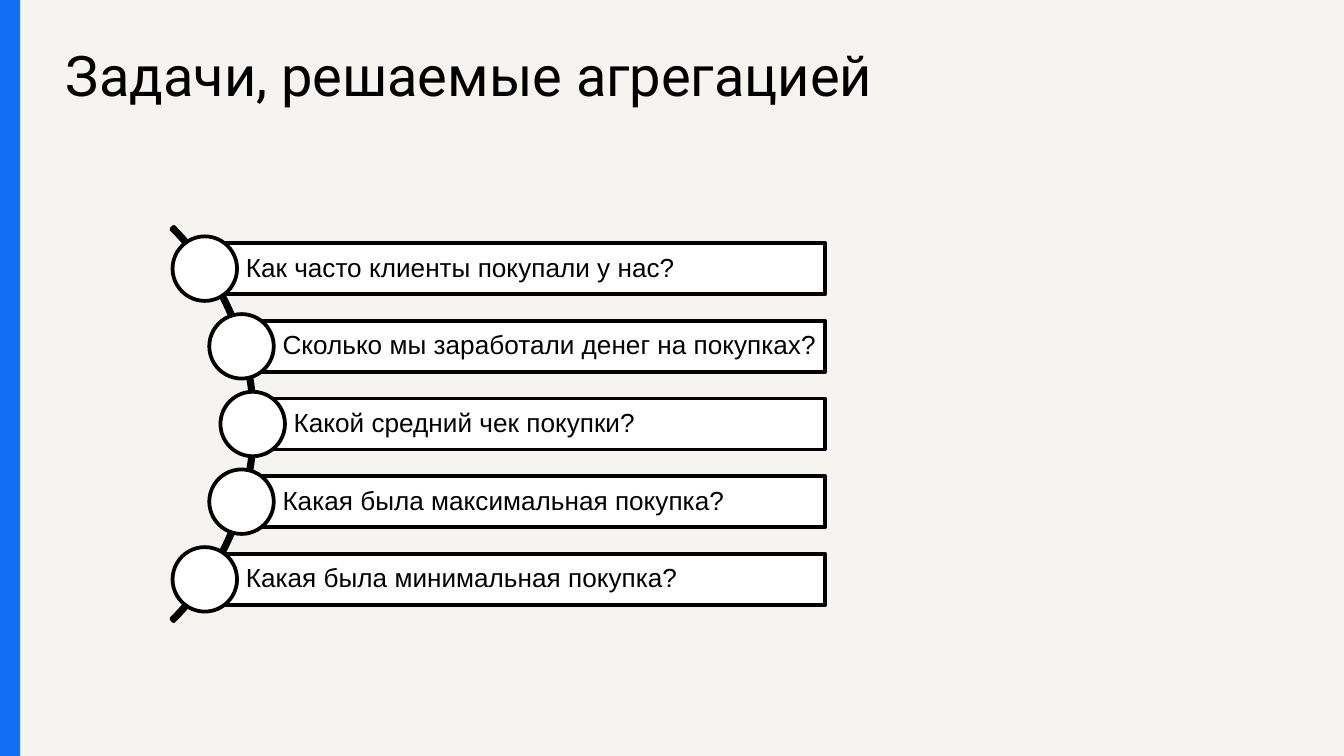
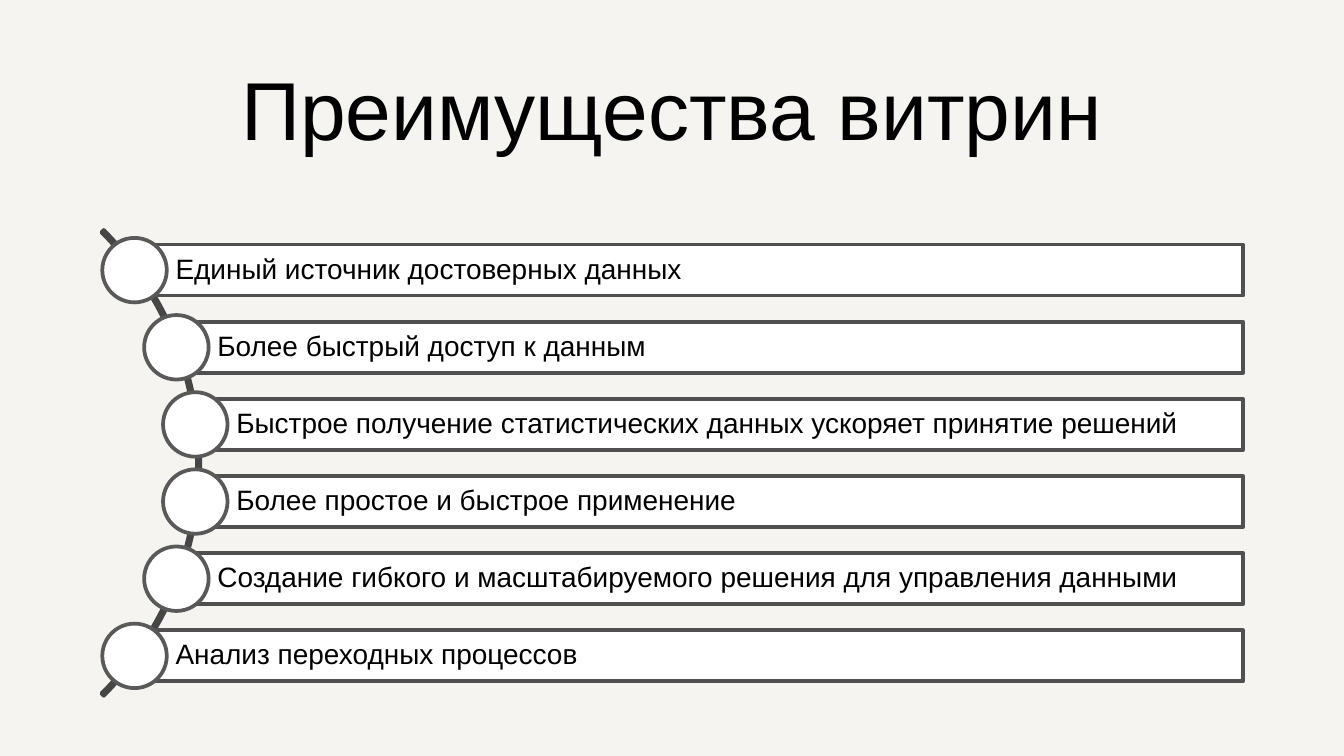
"""Build two slides that list points along an arc, measured on a grid of 0.1 inch cells."""
from pptx import Presentation
from pptx import util as u
from pptx.dml.color import RGBColor
from pptx.enum import shapes, text

COLUMNS, ROWS = 100, 56.25
BAR_HEIGHT, KNOT, LINE_WIDTH = 3.8, 4.8, u.Pt(2)
BLACK, WHITE, PAPER, BLUE = "000000", "FFFFFF", "F5F4F0", "136EF6"


def cells(*lengths):
    return [u.Inches(length / 10) for length in lengths]


def paint(shape, fill, line):
    shape.shadow.inherit = False
    if fill:
        shape.fill.solid()
        shape.fill.fore_color.rgb = RGBColor.from_string(fill)
    else:
        shape.fill.background()
    if line:
        shape.line.color.rgb = RGBColor.from_string(line)
        shape.line.width = LINE_WIDTH
    else:
        shape.line.fill.background()


topics = [
    {
        "title": "Задачи, решаемые агрегацией",
        "title_box": (3.9, 2, 66.2, 10.2),
        "title_font": ("Roboto", 30),
        "title_align": text.PP_ALIGN.LEFT,
        "title_anchor": text.MSO_ANCHOR.TOP,
        "arc": (-1.75, 31.55, 20.75, 0.006),
        "right": 61.4,
        "pitch": 5.78,
        "size": 14,
        "lines": (BLACK, BLACK, BLACK),
        "points": [
            "Как часто клиенты покупали у нас?",
            "Сколько мы заработали денег на покупках?",
            "Какой средний чек покупки?",
            "Какая была максимальная покупка?",
            "Какая была минимальная покупка?",
        ],
    },
    {
        "title": "Преимущества витрин",
        "title_box": (3.4, 3.6, 93.2, 9.1),
        "title_font": ("Arial", 44),
        "title_align": text.PP_ALIGN.CENTER,
        "title_anchor": text.MSO_ANCHOR.BOTTOM,
        "arc": (-9.6, 34.45, 24.5, 0.005),
        "right": 92.5,
        "pitch": 5.74,
        "size": 15,
        "lines": ("464646", "505050", "595959"),
        "points": [
            "Единый источник достоверных данных",
            "Более быстрый доступ к данным",
            "Быстрое получение статистических данных ускоряет принятие решений",
            "Более простое и быстрое применение",
            "Создание гибкого и масштабируемого решения для управления данными",
            "Анализ переходных процессов",
        ],
    },
]

presentation = Presentation()
presentation.slide_width, presentation.slide_height = cells(COLUMNS, ROWS)
background = presentation.slide_master.background.fill
background.solid()
background.fore_color.rgb = RGBColor.from_string(PAPER)

for topic in topics:
    slide = presentation.slides.add_slide(presentation.slide_layouts[5])
    title = slide.shapes.title
    title.left, title.top, title.width, title.height = cells(*topic["title_box"])
    frame = title.text_frame
    frame.text = topic["title"]
    frame.auto_size = text.MSO_AUTO_SIZE.NONE
    frame.vertical_anchor = topic["title_anchor"]
    frame.margin_left, frame.margin_top, frame.margin_right, frame.margin_bottom = cells(1, 1, 1, 1)
    frame.paragraphs[0].alignment = topic["title_align"]
    labels = [(frame.paragraphs[0], *topic["title_font"])]

    centre_x, centre_y, radius, thickness = topic["arc"]
    arc_line, bar_line, knot_line = topic["lines"]
    arc = slide.shapes.add_shape(
        shapes.MSO_SHAPE.BLOCK_ARC,
        *cells(centre_x - radius, centre_y - radius, 2 * radius, 2 * radius))
    for index, value in enumerate((189, 27, thickness)):
        arc.adjustments[index] = value
    paint(arc, None, arc_line)

    for index, point in enumerate(topic["points"]):
        offset = (index - (len(topic["points"]) - 1) / 2) * topic["pitch"]
        x = centre_x + ((radius - 0.2) ** 2 - offset ** 2) ** 0.5
        y = centre_y + offset
        bar = slide.shapes.add_shape(
            shapes.MSO_SHAPE.RECTANGLE,
            *cells(x, y - BAR_HEIGHT / 2, topic["right"] - x, BAR_HEIGHT))
        paint(bar, WHITE, bar_line)
        frame = bar.text_frame
        frame.text = point
        frame.word_wrap = True
        frame.vertical_anchor = text.MSO_ANCHOR.MIDDLE
        frame.margin_left, frame.margin_top, frame.margin_right, frame.margin_bottom = cells(
            3.05, 0.4, 0.4, 0.4)
        paragraph = frame.paragraphs[0]
        paragraph.alignment = text.PP_ALIGN.LEFT
        paragraph.line_spacing = 0.9
        labels.append((paragraph, "Arial", topic["size"]))
        knot = slide.shapes.add_shape(
            shapes.MSO_SHAPE.OVAL, *cells(x - KNOT / 2, y - KNOT / 2, KNOT, KNOT))
        paint(knot, WHITE, knot_line)

    for paragraph, name, size in labels:
        font = paragraph.runs[0].font
        font.name, font.size = name, u.Pt(size)
        font.color.rgb = RGBColor.from_string(BLACK)

stripe = presentation.slides[0].shapes.add_shape(
    shapes.MSO_SHAPE.RECTANGLE, *cells(0, 0, 1.5, ROWS))
paint(stripe, BLUE, None)

presentation.save("out.pptx")
